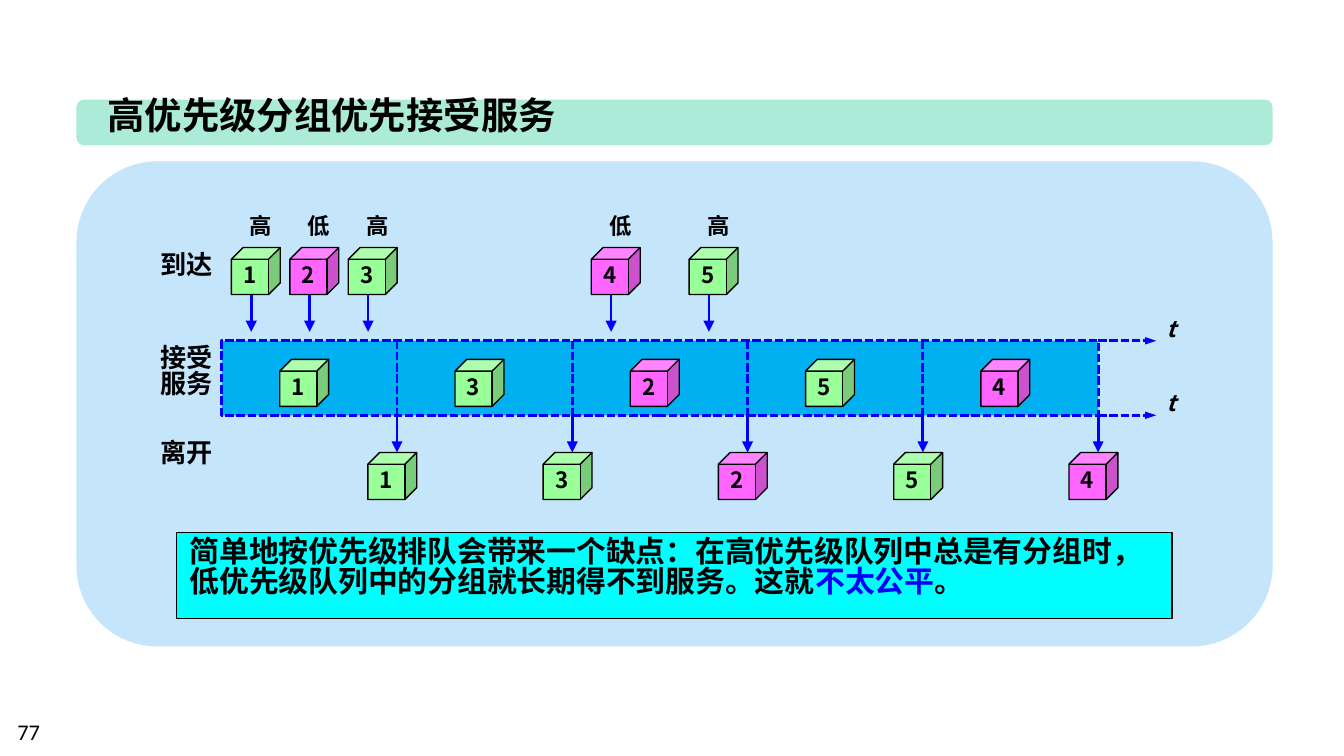
import pptx
import pptx.dml.color
import pptx.enum.dml
import pptx.enum.shapes
import pptx.enum.text
import pptx.oxml.ns
import pptx.util
from lxml import etree

Pt = pptx.util.Pt
qn = pptx.oxml.ns.qn
SHAPE = pptx.enum.shapes.MSO_SHAPE
ALIGN = pptx.enum.text.PP_ALIGN
ANCHOR = pptx.enum.text.MSO_ANCHOR

HUES = {
    "ink": "000000", "blue": "0000FF", "mint": "ABEBD7", "pale": "C5E5FB",
    "cyan": "00FFFF", "band": "00B0F0", "high": "99FF99", "low": "FF66FF",
}
LEVEL = {"1": "high", "2": "low", "3": "high", "4": "low", "5": "high"}
WORD = {"high": "高", "low": "低"}


class Board:
    """Draws styled elements on the current slide, measured in points."""

    font = "Noto Sans CJK SC"
    tight = 0.83

    def __init__(self, slide):
        self.slide = slide

    def hue(self, name):
        return pptx.dml.color.RGBColor.from_string(HUES[name])

    def style(self, run, size, hue="ink", bold=True, slant=False, font=None):
        run.font.size = Pt(size)
        run.font.bold = bold
        run.font.italic = slant
        run.font.color.rgb = self.hue(hue)
        run.font.name = font or self.font
        east = etree.SubElement(run.font._element, qn("a:ea"))
        east.set("typeface", font or self.font)

    def label(self, frame, text, size, align=ALIGN.LEFT, **look):
        frame.text = text
        for para in frame.paragraphs:
            para.alignment = align
            if "font" not in look:
                para.line_spacing = self.tight
            for run in para.runs:
                self.style(run, size, **look)

    def shape(self, kind, x, y, w, h, fill, line=None, width=0.75, dash=None):
        item = self.slide.shapes.add_shape(kind, Pt(x), Pt(y), Pt(w), Pt(h))
        item.shadow.inherit = False
        item.fill.solid()
        item.fill.fore_color.rgb = self.hue(fill)
        if line:
            item.line.color.rgb = self.hue(line)
            item.line.width = Pt(width)
            item.line.dash_style = dash
        else:
            item.line.fill.background()
        return item

    def text(self, x, y, w, h, text, size, wrap=False, **look):
        box = self.slide.shapes.add_textbox(Pt(x), Pt(y), Pt(w), Pt(h))
        box.text_frame.word_wrap = wrap
        self.label(box.text_frame, text, size, **look)

    def cube(self, x, y, name):
        item = self.shape(SHAPE.CUBE, x, y, 26.2, 25.2, LEVEL[name], "ink")
        item.text_frame.word_wrap = False
        item.text_frame.vertical_anchor = ANCHOR.MIDDLE
        self.label(item.text_frame, name, 12, ALIGN.CENTER)

    def line(self, x1, y1, x2, y2, dash=None, head=None):
        kind = pptx.enum.shapes.MSO_CONNECTOR.STRAIGHT
        item = self.slide.shapes.add_connector(kind, Pt(x1), Pt(y1), Pt(x2), Pt(y2))
        item.line.color.rgb = self.hue("blue")
        item.line.width = Pt(1.5)
        item.line.dash_style = dash
        props = item._element.spPr
        if head:
            tail = etree.SubElement(props.find(qn("a:ln")), qn("a:tailEnd"))
            tail.set("type", "triangle")
            tail.set("w", head)
        etree.SubElement(props, qn("a:effectLst"))

    def note(self, x, y, w, h, parts, size):
        item = self.shape(SHAPE.RECTANGLE, x, y, w, h, "cyan", "ink")
        frame = item.text_frame
        frame.word_wrap = True
        frame.vertical_anchor = ANCHOR.TOP
        para = frame.paragraphs[0]
        para.alignment = ALIGN.LEFT
        para.line_spacing = self.tight
        for text, hue in parts:
            run = para.add_run()
            run.text = text
            self.style(run, size, hue)


def main():
    deck = pptx.Presentation()
    deck.slide_width, deck.slide_height = Pt(720), Pt(405)
    board = Board(deck.slides.add_slide(deck.slide_layouts[6]))
    dash = pptx.enum.dml.MSO_LINE.SQUARE_DOT

    board.shape(SHAPE.ROUNDED_RECTANGLE, 41, 53.4, 640.8, 24.5, "mint")
    board.text(50.4, 49.7, 257, 31.7, "高优先级分组优先接受服务", 20)
    board.shape(SHAPE.ROUNDED_RECTANGLE, 41, 86.4, 640.8, 259.9, "pale")
    board.note(94.5, 285.2, 533.4, 46.1, [
        ("简单地按优先级排队会带来一个缺点：在高优先级队列中总是有分组时，"
         "低优先级队列中的分组就长期得不到服务。这就", "ink"),
        ("不太公平", "blue"),
        ("。", "ink"),
    ], 16)

    left, top, step, base = 118.8, 182.6, 93.9, 222.5
    right = left + 5 * step
    board.shape(SHAPE.RECTANGLE, left, top, right - left, base - top,
                "band", "blue", 1.5, dash)

    for y, word in ((132.5, "到达"), (182.2, "接受\n服务"), (233.3, "离开")):
        rows = word.count("\n") + 1
        board.text(79, y, 42.5, 7.4 + 16.9 * rows, word, 14)

    for name, x in zip("12345", (124, 155.3, 186.6, 316.8, 369.2)):
        board.text(x + 2.6, 112.3, 26.6, 21.6, WORD[LEVEL[name]], 12)
        board.cube(x, 132.6, name)
        board.line(x + 10.6, 157.8, x + 10.6, 177.8, head="med")

    for slot, name in enumerate("13254"):
        start = left + slot * step
        end = start + step
        board.cube(start + 31.1, 192.5, name)
        if slot < 4:
            board.line(end, top, end, base, dash)
        board.line(end, base, end, 242.4, head="med")
        board.cube(end - 15.6, 242.4, name)

    for y in (top, base):
        board.line(right, y, 619.4, y, dash, "sm")
        board.text(617.8, y - 15, 19.4, 21.6, "t", 12, slant=True)

    board.text(2.2, 381, 167.8, 21.6, "77", 12, True, bold=False, font="Calibri")
    deck.save("out.pptx")


if __name__ == "__main__":
    main()
